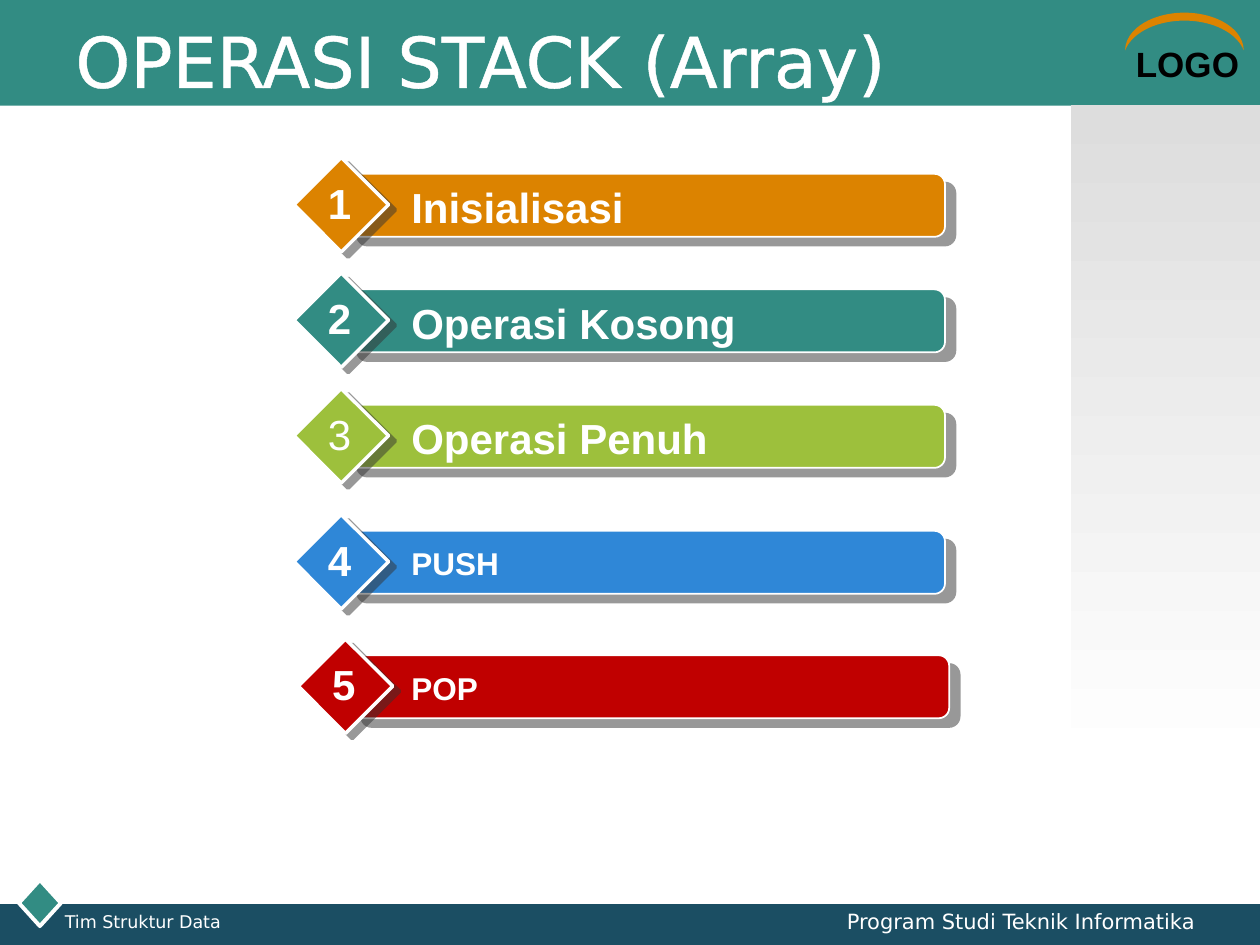
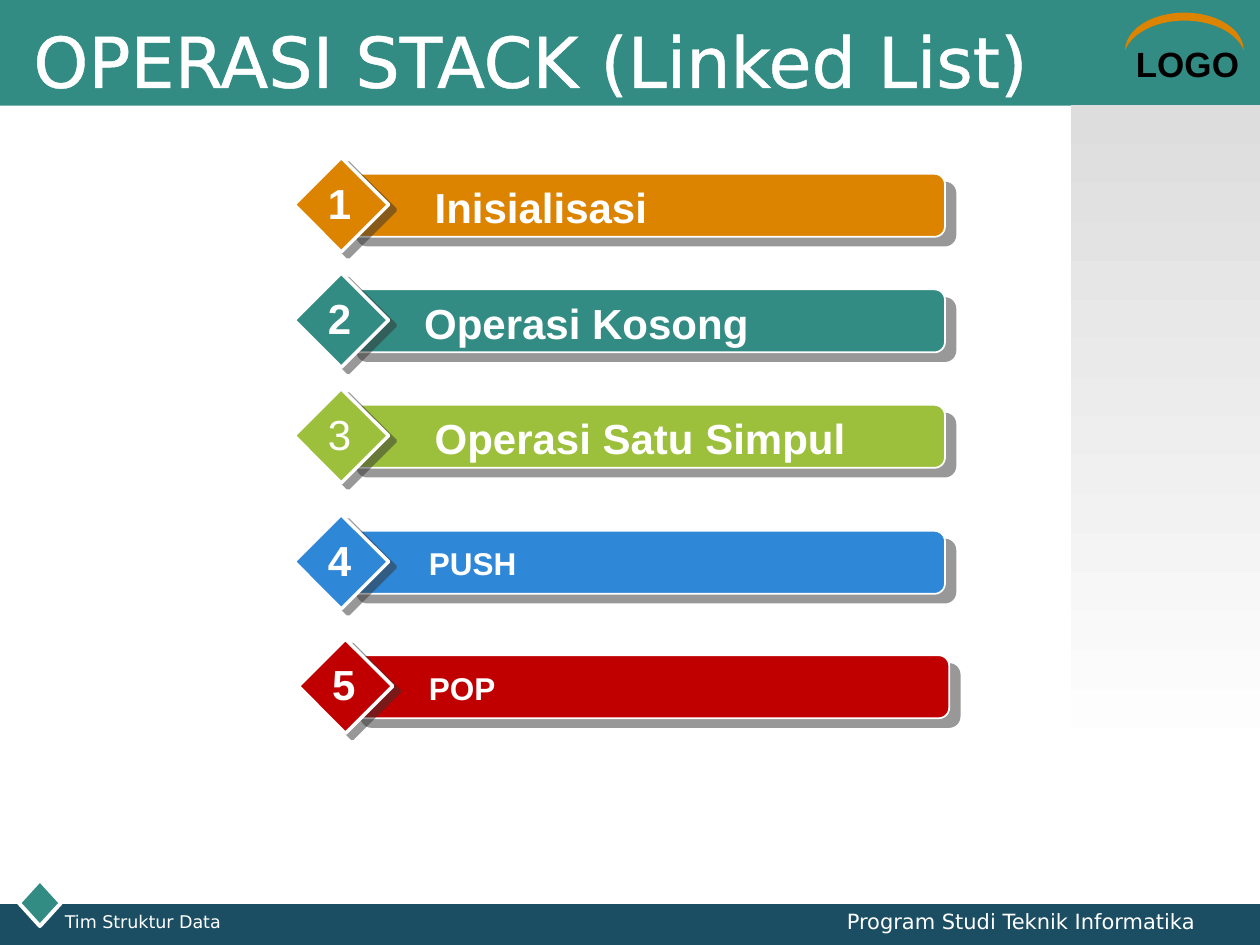
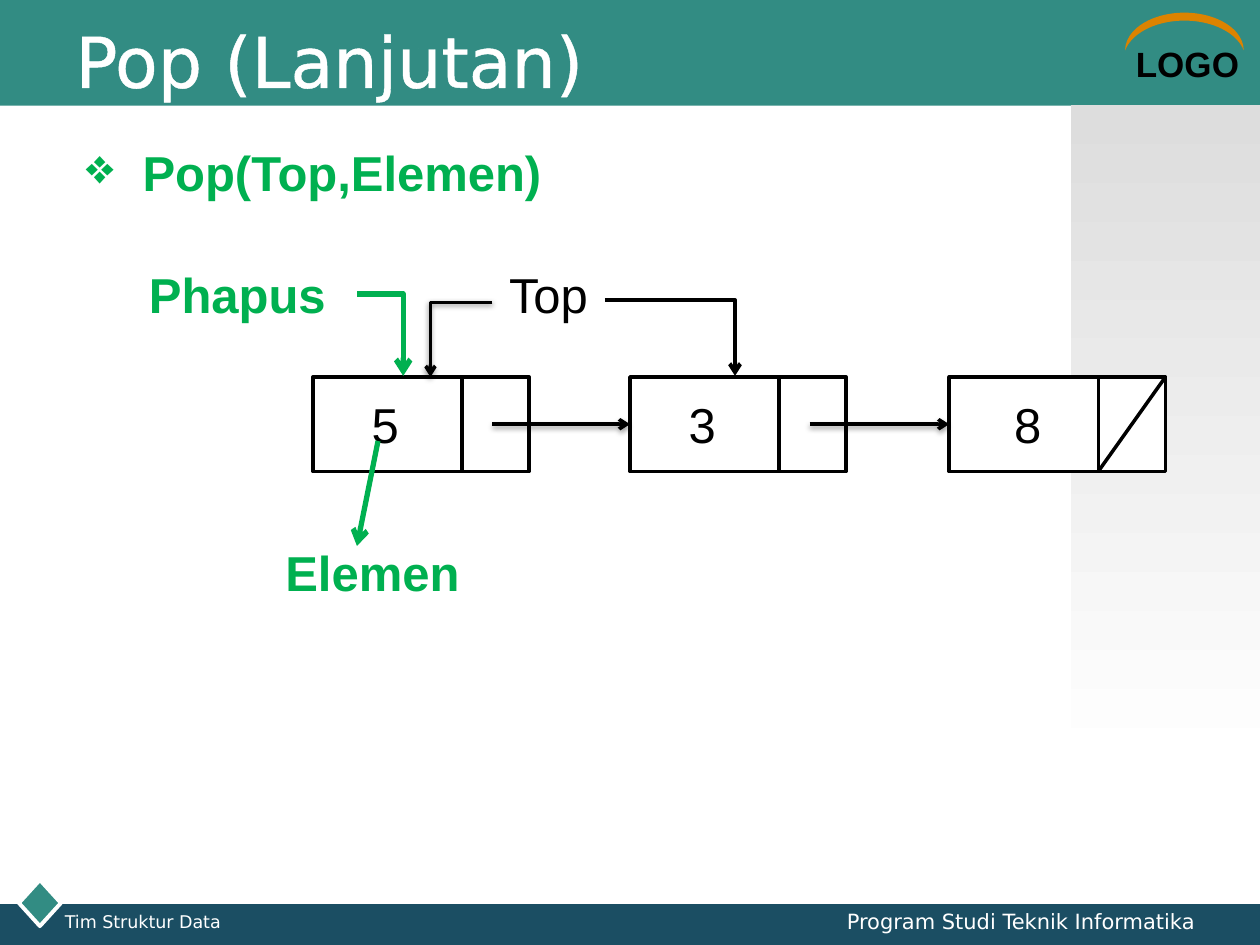
from dataclasses import dataclass
from typing import Any, NamedTuple

from pptx import Presentation
from pptx import util as u
from pptx.dml.color import RGBColor
from pptx.enum import shapes, text
from pptx.oxml import parse_xml
from pptx.oxml.ns import nsdecls, qn

COLUMNS, ROWS = 120, 90
PRESET = shapes.MSO_SHAPE


@dataclass(frozen=True)
class Theme:
    teal: str = "328C83"
    navy: str = "1B4E63"
    orange: str = "DC8300"
    lime: str = "9DC03C"
    blue: str = "2F87D7"
    red: str = "C00000"
    green: str = "00B050"
    white: str = "FFFFFF"
    black: str = "000000"
    grey: str = "DDDDDD"
    shadow: str = "333333"
    heading_font: str = "DejaVu Sans"
    body_font: str = "Arial"
    title_size: float = 40
    diagram_size: float = 28
    item_size: float = 24
    logo_size: float = 20
    small_item_size: float = 18
    credit_size: float = 12
    team_size: float = 10


THEME = Theme()


class Box(NamedTuple):
    left: float
    top: float
    width: float
    height: float


class Style(NamedTuple):
    size: float
    color: str = THEME.white
    bold: bool = False
    font: str = THEME.body_font


class Shadow(NamedTuple):
    color: str
    opacity: int
    blur: float
    distance: float
    angle: int


class Item(NamedTuple):
    label: str
    size: float = THEME.item_size
    indent: float = 0


class Marker(NamedTuple):
    left: float
    top: float
    color: str
    bold: bool = True


class Node(NamedTuple):
    value: str
    left: float
    value_inset: float


class Line(NamedTuple):
    begin: tuple[float, float]
    end: tuple[float, float]
    color: str = THEME.black
    width: float = 2
    bent: bool = False
    arrow: bool = True
    shadow: Shadow | None = None


BAR_SHADOW = Shadow(THEME.shadow, 50, 0, 7.8, 40)
DIAMOND_SHADOW = Shadow(THEME.shadow, 50, 0, 5, 37)
LINE_SHADOW = Shadow(THEME.black, 38, 3.1, 1.6, 90)

MARKERS = [
    Marker(28, 15, THEME.orange),
    Marker(28, 26, THEME.teal),
    Marker(28, 37, THEME.lime, bold=False),
    Marker(28, 49, THEME.blue),
    Marker(28.4, 60.85, THEME.red),
]
ARRAY_ITEMS = [
    Item("Inisialisasi"),
    Item("Operasi Kosong"),
    Item("Operasi Penuh"),
    Item("PUSH", THEME.small_item_size),
    Item("POP", THEME.small_item_size),
]
LINKED_LIST_ITEMS = [
    Item("Inisialisasi", indent=2.2),
    Item("Operasi Kosong", indent=1.2),
    Item("Operasi Satu Simpul", indent=2.2),
    Item("PUSH", THEME.small_item_size, 1.65),
    Item("POP", THEME.small_item_size, 1.65),
]

NODE_TOP, NODE_WIDTH, NODE_HEIGHT, DIVIDER = 35.9, 20.6, 9, 14.2
NODES = [Node("5", 29.8, 4.4), Node("3", 60, 4.4), Node("8", 90.4, 5)]
POINTERS = [
    Line((46.9, 28.8), (41, 35.9), bent=True, shadow=LINE_SHADOW),
    Line((34, 28), (38.4, 35.8), THEME.green, 3, bent=True),
    Line((57.6, 28.6), (70, 35.8), width=2.25, bent=True),
    Line((36, 42), (34, 52), THEME.green, 3),
]


def across(columns: float) -> int:
    return u.Inches(10 * columns / COLUMNS)


def down(rows: float) -> int:
    return u.Inches(7.5 * rows / ROWS)


def place(box: Box) -> tuple[int, int, int, int]:
    return across(box.left), down(box.top), across(box.width), down(box.height)


def rgb(color: str) -> RGBColor:
    return RGBColor.from_string(color)


def set_shadow(properties: Any, shadow: Shadow | None) -> None:
    effects = properties.find(qn("a:effectLst"))
    if effects is None:
        effects = parse_xml(f"<a:effectLst {nsdecls('a')}/>")
        properties.append(effects)
    if shadow:
        effects.append(parse_xml(
            f'<a:outerShdw {nsdecls("a")} blurRad="{u.Pt(shadow.blur)}" '
            f'dist="{u.Pt(shadow.distance)}" dir="{shadow.angle * 60000}" '
            f'algn="ctr" rotWithShape="0"><a:srgbClr val="{shadow.color}">'
            f'<a:alpha val="{shadow.opacity * 1000}"/></a:srgbClr></a:outerShdw>'
        ))


def add_shape(canvas: Any, preset: Any, box: Box, fill: str, line: str | None = None,
              line_width: float = 1, shadow: Shadow | None = None) -> Any:
    shape = canvas.add_shape(preset, *place(box))
    shape.fill.solid()
    shape.fill.fore_color.rgb = rgb(fill)
    if line:
        shape.line.color.rgb = rgb(line)
        shape.line.width = u.Pt(line_width)
    else:
        shape.line.fill.background()
    shape.shadow.inherit = False
    set_shadow(shape._element.spPr, shadow)
    return shape


def add_text(canvas: Any, box: Box, wording: str, style: Style,
             align: Any = text.PP_ALIGN.LEFT, wrap: bool = True) -> Any:
    text_box = canvas.add_textbox(*place(box))
    text_frame = text_box.text_frame
    text_frame.text = wording
    text_frame.word_wrap = wrap
    paragraph = text_frame.paragraphs[0]
    paragraph.alignment = align
    font = paragraph.runs[0].font
    font.name, font.size, font.bold = style.font, u.Pt(style.size), style.bold
    font.color.rgb = rgb(style.color)
    return text_box


def add_line(canvas: Any, line: Line) -> Any:
    kind = shapes.MSO_CONNECTOR.ELBOW if line.bent else shapes.MSO_CONNECTOR.STRAIGHT
    connector = canvas.add_connector(
        kind, across(line.begin[0]), down(line.begin[1]),
        across(line.end[0]), down(line.end[1]))
    connector.line.color.rgb = rgb(line.color)
    connector.line.width = u.Pt(line.width)
    properties = connector._element.spPr
    if line.bent:
        properties.find(qn("a:prstGeom")).set("prst", "bentConnector2")
    if line.arrow:
        properties.find(qn("a:ln")).append(
            parse_xml(f'<a:tailEnd {nsdecls("a")} type="arrow"/>'))
    set_shadow(properties, line.shadow)
    return connector


def add_title(canvas: Any, title: str, left: float) -> None:
    style = Style(THEME.title_size, font=THEME.heading_font)
    title_box = add_text(canvas, Box(left, 2, 108, 7.4), title, style)
    text_frame = title_box.text_frame
    text_frame.vertical_anchor = text.MSO_ANCHOR.MIDDLE
    run_properties = text_frame.paragraphs[0].runs[0]._r.get_or_add_rPr()
    run_properties.insert(0, parse_xml(
        f'<a:ln {nsdecls("a")} w="{u.Pt(1.45)}"><a:solidFill>'
        f'<a:srgbClr val="{THEME.white}"/></a:solidFill></a:ln>'))


def add_framed_slide(presentation: Any, title: str, title_left: float = 6) -> Any:
    slide = presentation.slides.add_slide(presentation.slide_layouts[6])
    canvas = slide.shapes
    add_shape(canvas, PRESET.RECTANGLE, Box(0, 0, COLUMNS, 10.06), THEME.teal)
    add_shape(canvas, PRESET.RECTANGLE, Box(0, 86.1, COLUMNS, 3.9), THEME.navy)
    add_shape(canvas, PRESET.DIAMOND, Box(1.8, 83.8, 4, 4.4), THEME.teal, THEME.white, 2.25)
    add_text(canvas, Box(107, 3.5, 13, 5.2), "LOGO",
             Style(THEME.logo_size, THEME.black, True))
    arc = add_shape(canvas, PRESET.MOON, Box(111, -2.64, 3.6, 11.3), THEME.orange)
    arc.adjustments[0] = 0.21
    arc.rotation = 90
    side_panel = add_shape(canvas, PRESET.RECTANGLE, Box(102, 10, 18, 63), THEME.grey)
    side_panel.fill.gradient()
    side_panel.fill.gradient_angle = 270
    for stop, color in zip(side_panel.fill.gradient_stops, (THEME.grey, THEME.white)):
        stop.color.rgb = rgb(color)
    add_title(canvas, title, title_left)
    add_text(canvas, Box(5, 86.15, 32, 2.8), "Tim Struktur Data",
             Style(THEME.team_size, font=THEME.heading_font))
    add_text(canvas, Box(76, 85.95, 39, 4), "Program Studi Teknik Informatika",
             Style(THEME.credit_size, font=THEME.heading_font), text.PP_ALIGN.RIGHT)
    return slide


def add_menu(slide: Any, items: list[Item], label_width: float) -> None:
    for number, (marker, item) in enumerate(zip(MARKERS, items), 1):
        canvas = slide.shapes.add_group_shape().shapes
        left, top = marker.left, marker.top
        add_shape(canvas, PRESET.ROUNDED_RECTANGLE, Box(left + 5, top + 1.56, 57, 6),
                  marker.color, THEME.white, 1, BAR_SHADOW)
        add_shape(canvas, PRESET.DIAMOND, Box(left, top, 9, 9),
                  marker.color, THEME.white, 2, DIAMOND_SHADOW)
        height, drop = (6.1, 1.7) if item.size == THEME.item_size else (4.8, 2.25)
        label = add_text(canvas, Box(38, top + drop, label_width, height),
                         item.label, Style(item.size, bold=True))
        label.text_frame.margin_left = across(1.2 + item.indent)
        add_text(canvas, Box(left + 2, top + 1.3, 4.7, 6), str(number),
                 Style(THEME.item_size, bold=marker.bold), text.PP_ALIGN.CENTER, False)


def add_node(slide: Any, node: Node) -> Any:
    canvas = slide.shapes
    cell = add_shape(canvas, PRESET.RECTANGLE,
                     Box(node.left, NODE_TOP, NODE_WIDTH, NODE_HEIGHT),
                     THEME.white, THEME.black, 2)
    divider = node.left + DIVIDER
    add_line(canvas, Line((divider, NODE_TOP), (divider, NODE_TOP + NODE_HEIGHT), arrow=False))
    add_text(canvas, Box(node.left + node.value_inset, 37, 7.6, 6.8), node.value,
             Style(THEME.diagram_size, THEME.black))
    return cell


def add_pop_diagram(slide: Any) -> None:
    canvas = slide.shapes
    strong = Style(THEME.diagram_size, THEME.green, True)
    call = add_text(canvas, Box(7, 13, 50, 6.8), "Pop(Top,Elemen)", strong)
    properties = call.text_frame.paragraphs[0]._p.get_or_add_pPr()
    properties.set("marL", str(u.Inches(0.45)))
    properties.set("indent", str(u.Inches(-0.45)))
    properties.append(parse_xml(f'<a:buChar {nsdecls("a")} char="❖"/>'))

    cells = [add_node(slide, node) for node in NODES]
    middle = NODE_TOP + NODE_HEIGHT / 2
    for node, following, target in zip(NODES, NODES[1:], cells[1:]):
        link = add_line(canvas, Line((node.left + 17.1, middle), (following.left, middle),
                                     shadow=LINE_SHADOW))
        link.end_connect(target, 1)
    last = NODES[-1].left
    add_line(canvas, Line((last + NODE_WIDTH, NODE_TOP),
                          (last + DIVIDER, NODE_TOP + NODE_HEIGHT), arrow=False))

    add_text(canvas, Box(13, 24.6, 21, 6.8), "Phapus", strong)
    add_text(canvas, Box(47.3, 24.6, 15.1, 6.8), "Top", Style(THEME.diagram_size, THEME.black))
    add_text(canvas, Box(26, 51.1, 21, 6.8), "Elemen", strong)
    for pointer in POINTERS:
        add_line(canvas, pointer)


def main() -> None:
    presentation = Presentation()
    presentation.slide_width = across(COLUMNS)
    presentation.slide_height = down(ROWS)
    add_menu(add_framed_slide(presentation, "OPERASI STACK (Array)"), ARRAY_ITEMS, 43)
    add_menu(add_framed_slide(presentation, "OPERASI STACK (Linked List)", 2),
             LINKED_LIST_ITEMS, 52)
    add_pop_diagram(add_framed_slide(presentation, "Pop (Lanjutan)"))
    presentation.save("out.pptx")


if __name__ == "__main__":
    main()
